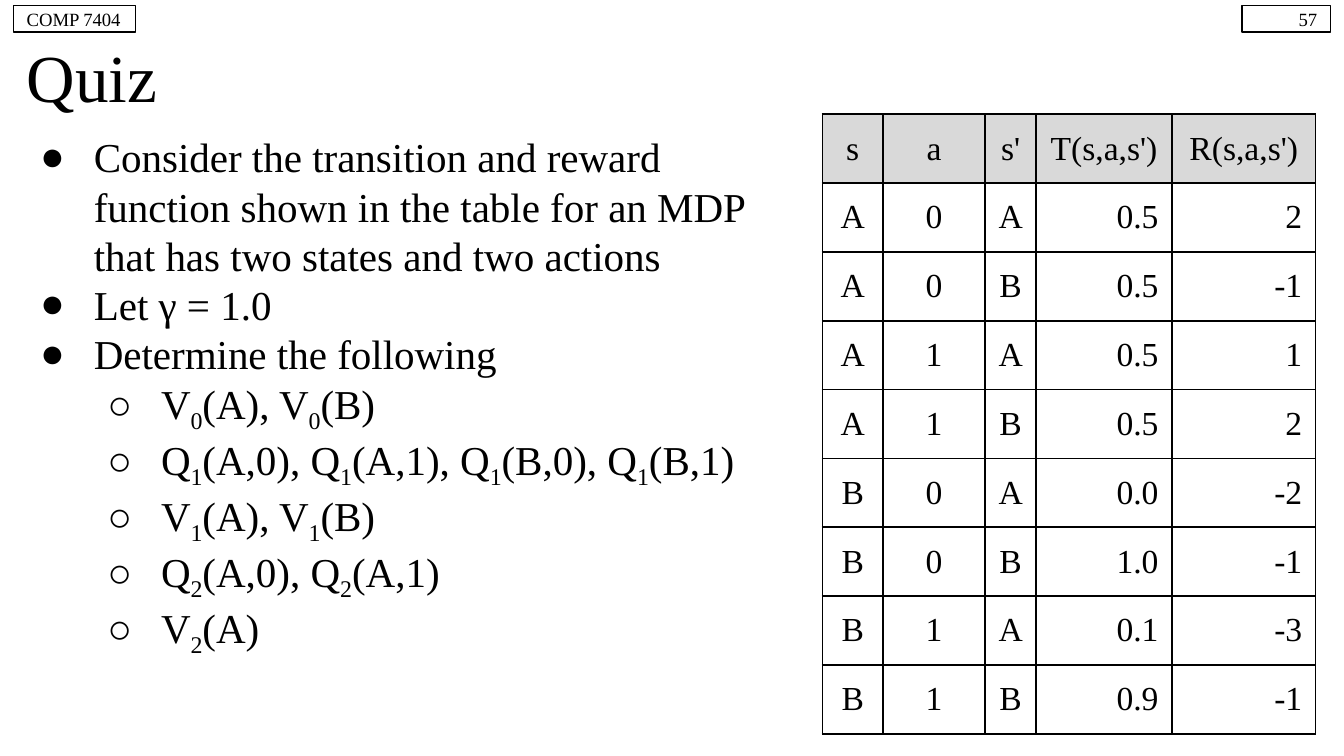
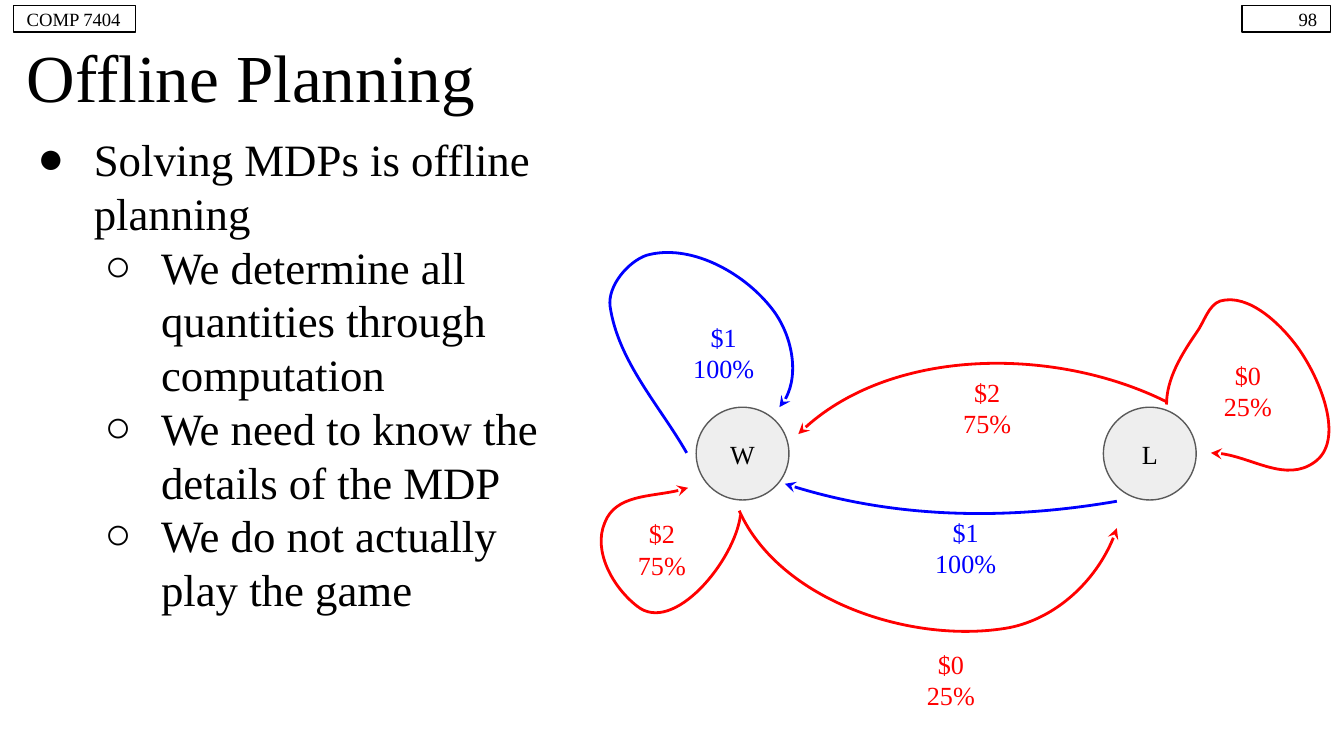
import lxml.etree
import pptx
import pptx.dml.color
import pptx.enum.shapes
import pptx.enum.text
import pptx.oxml.ns
import pptx.util

Inches = pptx.util.Inches
Pt = pptx.util.Pt
qn = pptx.oxml.ns.qn
ALIGN = pptx.enum.text.PP_ALIGN
ANCHOR = pptx.enum.text.MSO_ANCHOR
SHAPE = pptx.enum.shapes.MSO_SHAPE

FACE = "Times New Roman"
BLACK, RED, BLUE = "000000", "FF0000", "0000FF"
HEAD, NODE, EDGE = "D9D9D9", "EEEEEE", "595959"
COURSE = "COMP 7404"
MARKS = "●○"

QUIZ = {
    "title": "Quiz", "page": "57", "width": 5.9, "size": 22, "hang": 0.4,
    "items": [
        (0, "Consider the transition and reward function shown in the table "
            "for an MDP that has two states and two actions"),
        (0, "Let γ = 1.0"),
        (0, "Determine the following"),
        (1, "V_0(A), V_0(B)"),
        (1, "Q_1(A,0), Q_1(A,1), Q_1(B,0), Q_1(B,1)"),
        (1, "V_1(A), V_1(B)"),
        (1, "Q_2(A,0), Q_2(A,1)"),
        (1, "V_2(A)"),
    ],
}
PLAN = {
    "title": "Offline Planning", "page": "98", "width": 4.24, "size": 24, "hang": 0.42,
    "items": [
        (0, "Solving MDPs is offline planning"),
        (1, "We determine all quantities through computation"),
        (1, "We need to know the details of the MDP"),
        (1, "We do not actually play the game"),
    ],
}

COLS = [0.45, 0.76, 0.38, 1.01, 1.07]
ROWS = [
    ("s", "a", "s'", "T(s,a,s')", "R(s,a,s')"),
    ("A", "0", "A", "0.5", "2"),
    ("A", "0", "B", "0.5", "-1"),
    ("A", "1", "A", "0.5", "1"),
    ("A", "1", "B", "0.5", "2"),
    ("B", "0", "A", "0.0", "-2"),
    ("B", "0", "B", "1.0", "-1"),
    ("B", "1", "A", "0.1", "-3"),
    ("B", "1", "B", "0.9", "-1"),
]
HIGH = 4.61 / len(ROWS)

STATES = [("W", 5.18), ("L", 8.21)]
SMALL, LARGE = (0.69, 0.65, 0.34), (0.91, 0.57, 0.1)
LABELS = [
    (6.84, 3.87, SMALL, BLUE, "$1", "100%"),
    (5.04, 2.42, SMALL, BLUE, "$1", "100%"),
    (4.47, 3.8, LARGE, RED, "$2", "75%"),
    (6.62, 4.77, LARGE, RED, "$0", "25%"),
    (8.83, 2.62, LARGE, RED, "$0", "25%"),
    (6.89, 2.75, LARGE, RED, "$2", "75%"),
]
CURVES = [
    (BLUE, [(5.11, 3.37), (4.91, 3.02), (4.6, 2.69), (4.54, 2.28),
            (4.52, 2.13), (4.67, 1.95), (4.81, 1.9),
            (5.13, 1.81), (5.52, 2.02), (5.73, 2.28),
            (5.89, 2.47), (5.97, 2.85), (5.8, 3.03)]),
    (BLUE, [(8.31, 3.73), (7.5, 3.87), (6.63, 3.86), (5.84, 3.6)]),
    (RED, [(5.5, 3.8), (5.8, 4.47), (6.79, 4.8), (7.51, 4.67),
           (7.86, 4.6), (8.2, 4.28), (8.31, 3.93)]),
    (RED, [(5.51, 3.83), (5.47, 4.17), (5.01, 4.73), (4.74, 4.51),
           (4.56, 4.37), (4.41, 4.1), (4.5, 3.89),
           (4.58, 3.68), (4.91, 3.7), (5.12, 3.63)]),
    (RED, [(8.68, 3.01), (8.68, 2.82), (8.79, 2.64), (8.9, 2.48),
           (8.96, 2.4), (8.99, 2.27), (9.08, 2.24),
           (9.29, 2.18), (9.53, 2.41), (9.66, 2.59),
           (9.83, 2.83), (10.01, 3.28), (9.78, 3.44),
           (9.57, 3.59), (9.27, 3.37), (9.01, 3.37)]),
    (RED, [(8.68, 2.99), (7.86, 2.58), (6.59, 2.58), (5.94, 3.23)]),
]


def tint(code):
    return pptx.dml.color.RGBColor.from_string(code)


def put(item, **vals):
    for name, val in vals.items():
        setattr(item, name, val)


def node(top, tag, **vals):
    return lxml.etree.SubElement(top, qn(tag), {k: str(v) for k, v in vals.items()})


def style(para, size, color=BLACK, align=ALIGN.LEFT):
    para.alignment = align
    for font in [para.font] + [run.font for run in para.runs]:
        put(font, name=FACE, size=Pt(size))
        font.color.rgb = tint(color)


def frame(shape, anchor=ANCHOR.MIDDLE, low=0.1):
    text = shape.text_frame
    side = Inches(0.1)
    put(text, word_wrap=True, vertical_anchor=anchor, margin_left=side,
        margin_right=side, margin_top=side, margin_bottom=Inches(low))
    return text


def fill(text, lines, size, color=BLACK, align=ALIGN.LEFT):
    text.text = "\n".join(lines)
    for para in text.paragraphs:
        style(para, size, color, align)


def box(slide, area, lines, size, color=BLACK, align=ALIGN.LEFT, low=0.1):
    shape = slide.shapes.add_textbox(*map(Inches, area))
    fill(frame(shape, low=low), lines, size, color, align)


def form(slide, kind, area, line, word, size, align, back=None):
    shape = slide.shapes.add_shape(kind, *map(Inches, area))
    shape.shadow.inherit = False
    if back:
        shape.fill.solid()
        shape.fill.fore_color.rgb = tint(back)
    else:
        shape.fill.background()
    shape.line.width = Pt(0.75)
    shape.line.color.rgb = tint(line)
    fill(frame(shape), [word], size, align=align)


def body(slide, data):
    shape = slide.shapes.add_textbox(*map(Inches, (0.1, 0.88, data["width"], 4.61)))
    text = frame(shape, ANCHOR.TOP)
    for i, (level, words) in enumerate(data["items"]):
        para = text.add_paragraph() if i else text.paragraphs[0]
        put(para, level=level, line_spacing=1.0)
        props = para._p.get_or_add_pPr()
        props.set("marL", str(Inches(0.5 + 0.5 * level)))
        props.set("indent", str(-Inches(data["hang"])))
        node(node(props, "a:buClr"), "a:srgbClr", val=BLACK)
        node(props, "a:buFont", typeface=FACE)
        node(props, "a:buChar", char=MARKS[level])
        first, *rest = words.split("_")
        para.add_run().text = first
        for part in rest:
            sub = para.add_run()
            sub.text = part[0]
            sub.font._element.set("baseline", "-25000")
            para.add_run().text = part[1:]
        style(para, data["size"])


def start(deck, data):
    slide = deck.slides.add_slide(deck.slide_layouts[6])
    box(slide, (0.1, 0.28, 9.8, 0.57), [data["title"]], 36)
    body(slide, data)
    form(slide, SHAPE.RECTANGLE, (9.24, 0.04, 0.66, 0.2), BLACK,
         data["page"], 10, ALIGN.RIGHT)
    form(slide, SHAPE.RECTANGLE, (0.1, 0.04, 0.91, 0.2), BLACK,
         COURSE, 10, ALIGN.LEFT)
    return slide


def grid(slide):
    area = (6.12, 0.85, sum(COLS), HIGH * len(ROWS))
    table = slide.shapes.add_table(len(ROWS), len(COLS), *map(Inches, area)).table
    put(table, first_row=False, horz_banding=False)
    for col, wide in zip(table.columns, COLS):
        col.width = Inches(wide)
    for r, row in enumerate(ROWS):
        table.rows[r].height = Inches(HIGH)
        for c, word in enumerate(row):
            cell = table.cell(r, c)
            side = Inches(0.1)
            put(cell, text=word, vertical_anchor=ANCHOR.MIDDLE, margin_left=side,
                margin_right=side, margin_top=side, margin_bottom=side)
            style(cell.text_frame.paragraphs[0], 18,
                  align=ALIGN.RIGHT if r and c > 2 else ALIGN.CENTER)
            props = cell._tc.get_or_add_tcPr()
            for edge in "LRTB":
                line = node(props, "a:ln" + edge, w=Pt(1))
                node(node(line, "a:solidFill"), "a:srgbClr", val=BLACK)
            if r:
                cell.fill.background()
            else:
                cell.fill.solid()
                cell.fill.fore_color.rgb = tint(HEAD)


def bend(ends, t):
    u = 1 - t
    load = (u ** 3, 3 * u * u * t, 3 * u * t * t, t ** 3)
    return tuple(round(sum(w * p[k] for w, p in zip(load, ends))) for k in (0, 1))


def curve(slide, color, spots):
    spots = [(Inches(x), Inches(y)) for x, y in spots]
    trace = [bend(spots[i:i + 4], step / 20)
             for i in range(0, len(spots) - 1, 3) for step in range(1, 21)]
    pen = slide.shapes.build_freeform(*spots[0], scale=1.0)
    pen.add_line_segments(trace, close=False)
    shape = pen.convert_to_shape()
    shape.shadow.inherit = False
    shape.fill.background()
    shape.line.width = Pt(1.5)
    shape.line.color.rgb = tint(color)
    node(shape.line._get_or_add_ln(), "a:tailEnd", type="stealth")
    route = shape._element.find(".//" + qn("a:path"))
    for old in list(route):
        route.remove(old)
    for i, (x, y) in enumerate(spots):
        if i == 0:
            part = node(route, "a:moveTo")
        elif i % 3 == 1:
            part = node(route, "a:cubicBezTo")
        node(part, "a:pt", x=x - shape.left, y=y - shape.top)


def main():
    deck = pptx.Presentation()
    wide = Inches(10)
    put(deck, slide_width=wide, slide_height=wide * 9 // 16)
    grid(start(deck, QUIZ))
    slide = start(deck, PLAN)
    for name, left in STATES:
        form(slide, SHAPE.OVAL, (left, 3.03, 0.69, 0.69), EDGE,
             name, 14, ALIGN.CENTER, NODE)
    for left, top, (wide, high, low), color, *lines in LABELS:
        box(slide, (left, top, wide, high), lines, 14, color, ALIGN.CENTER, low)
    for color, spots in CURVES:
        curve(slide, color, spots)
    deck.save("out.pptx")


if __name__ == "__main__":
    main()
